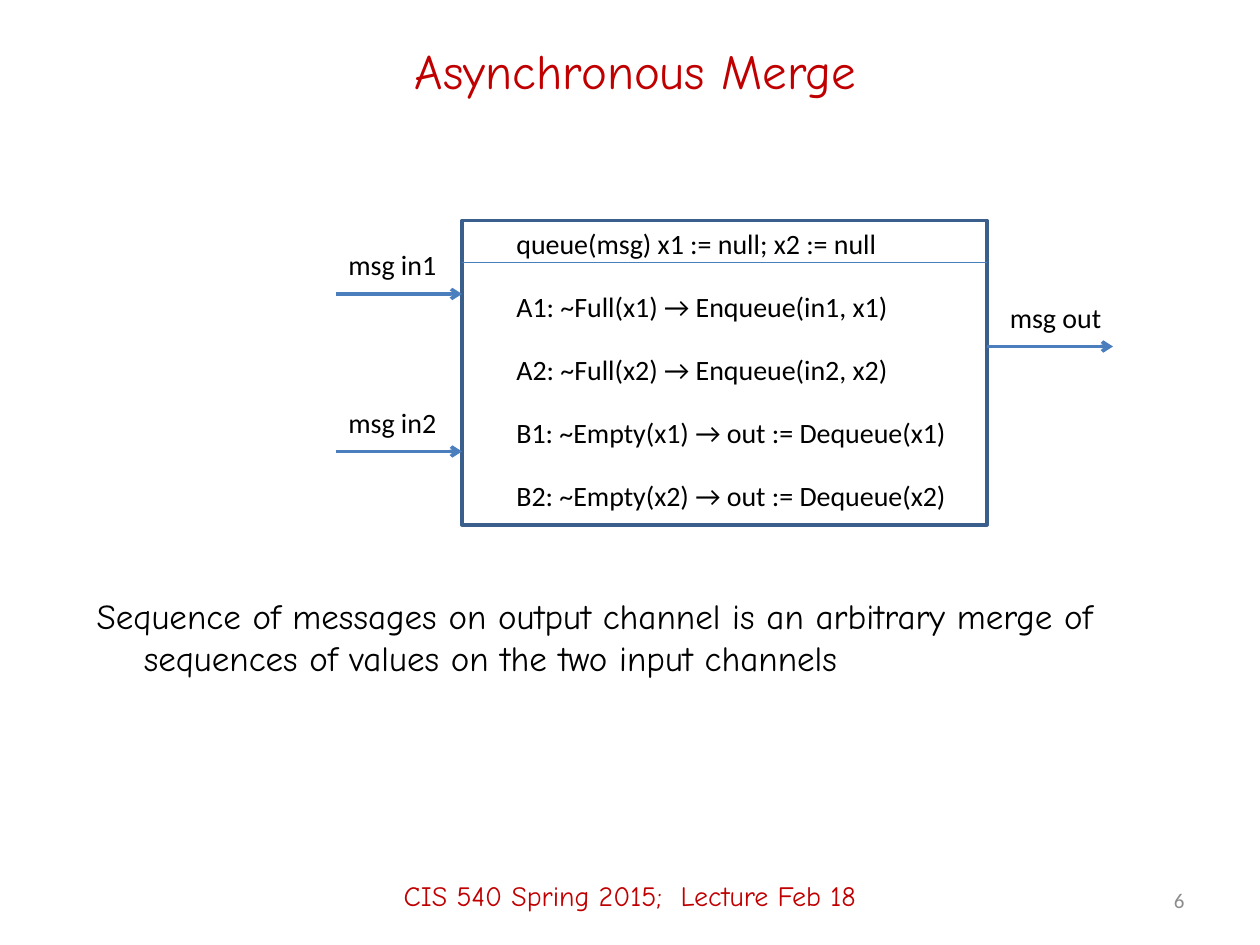
from lxml.etree import SubElement
from pptx import Presentation
from pptx.dml.color import RGBColor
from pptx.enum.shapes import MSO_CONNECTOR, MSO_SHAPE
from pptx.enum.text import MSO_ANCHOR as ANCHOR, MSO_AUTO_SIZE as AUTO, PP_ALIGN as ALIGN
from pptx.oxml.ns import qn
from pptx.util import Inches, Pt

RED = RGBColor(0xC0, 0x00, 0x00)
BLACK = RGBColor(0x00, 0x00, 0x00)
GRAY = RGBColor(0x8C, 0x8C, 0x8C)
BORDER = RGBColor(0x3A, 0x5F, 0x8C)
BLUE = RGBColor(0x4B, 0x7E, 0xBC)
HAND, SANS = "Comic Neue", "Calibri"


def u(n):
    """Grid unit: twelve to the inch."""
    return Inches(n / 12)


def place(sp, x, y, w, h):
    sp.left, sp.top, sp.width, sp.height = u(x), u(y), u(w), u(h)


def write(sp, text, size=16, font=SANS, color=BLACK, align=ALIGN.LEFT,
          anchor=ANCHOR.TOP, wrap=True, hanging=None):
    tf = sp.text_frame
    tf.word_wrap, tf.vertical_anchor = wrap, anchor
    tf.auto_size = AUTO.NONE if wrap else AUTO.SHAPE_TO_FIT_TEXT
    p = tf.paragraphs[0]
    p.alignment, p.space_before = align, Pt(0)
    if hanging:
        pPr = p._p.get_or_add_pPr()
        pPr.set("marL", str(hanging))
        pPr.set("indent", str(-hanging))
        SubElement(pPr, qn("a:buNone"))
    r = p.add_run()
    r.text = text
    r.font.size, r.font.name, r.font.color.rgb = Pt(size), font, color


def label(s, text, x, y, w, h=4.4, **fmt):
    write(s.shapes.add_textbox(u(x), u(y), u(w), u(h)), text, **fmt)


def line(s, x, y, w, weight=2, arrow=True):
    c = s.shapes.add_connector(MSO_CONNECTOR.STRAIGHT, u(x), u(y), u(x + w), u(y))
    c.line.color.rgb, c.line.width = BLUE, Pt(weight)
    if arrow:
        SubElement(c.line._get_or_add_ln(), qn("a:tailEnd"), type="arrow")
    SubElement(c._element.spPr, qn("a:effectLst"))


def process(s, x, y, w, h, state, tasks, inputs, output):
    """Process box with its state row, task rows and channels."""
    box = s.shapes.add_shape(MSO_SHAPE.RECTANGLE, u(x), u(y), u(w), u(h))
    box.shadow.inherit = False
    box.fill.background()
    box.line.color.rgb, box.line.width = BORDER, Pt(2)

    # State and tasks, one row every half inch
    line(s, x, y + 4, w, weight=0.75, arrow=False)
    for i, text in enumerate([state, *tasks]):
        label(s, text, x + 4, y + 6 * i, w - 6, wrap=False)

    # Channels: arrows one inch long, each with its label above
    for i, text in enumerate(inputs):
        row = y + 7 + 15 * i
        line(s, x - 12, row, 12)
        label(s, text, x - 12, row - 5, 10.9, wrap=False)
    line(s, x + w, y + 12, 12)
    label(s, output, x + w + 1, y + 7, 11.3, wrap=False)


def footer(s, x, y, w, h, text, number):
    label(s, text, x, y, w, h, font=HAND, color=RED,
          align=ALIGN.CENTER, anchor=ANCHOR.MIDDLE)
    label(s, number, x + w - 34, y + 2.75, 28, 4.8, size=12, color=GRAY,
          align=ALIGN.RIGHT, anchor=ANCHOR.MIDDLE)


def main():
    prs = Presentation()
    prs.slide_width, prs.slide_height = u(120), u(90)
    s = prs.slides.add_slide(prs.slide_layouts[1])

    # Title and statement
    title, body = s.placeholders
    place(title, 9, 2, 103, 9.4)
    write(title, "Asynchronous Merge", size=28, font=HAND, color=RED,
          align=ALIGN.CENTER, anchor=ANCHOR.MIDDLE)
    place(body, 8, 56, 100, 10)
    write(body, "Sequence of messages on output channel is an arbitrary merge of "
          "sequences of values on the two input channels",
          size=20, font=HAND, hanging=u(4.5))

    # Diagram
    process(s, 44, 21, 50, 29,
            state="queue(msg) x1 := null; x2 := null",
            tasks=["A1: ~Full(x1) → Enqueue(in1, x1)",
                   "A2: ~Full(x2) → Enqueue(in2, x2)",
                   "B1: ~Empty(x1) → out := Dequeue(x1)",
                   "B2: ~Empty(x2) → out := Dequeue(x2)"],
            inputs=["msg in1", "msg in2"], output="msg out")

    footer(s, 0, 80.6, 120, 9.4, "CIS 540 Spring 2015;  Lecture Feb 18", "6")
    prs.save("out.pptx")


if __name__ == "__main__":
    main()
